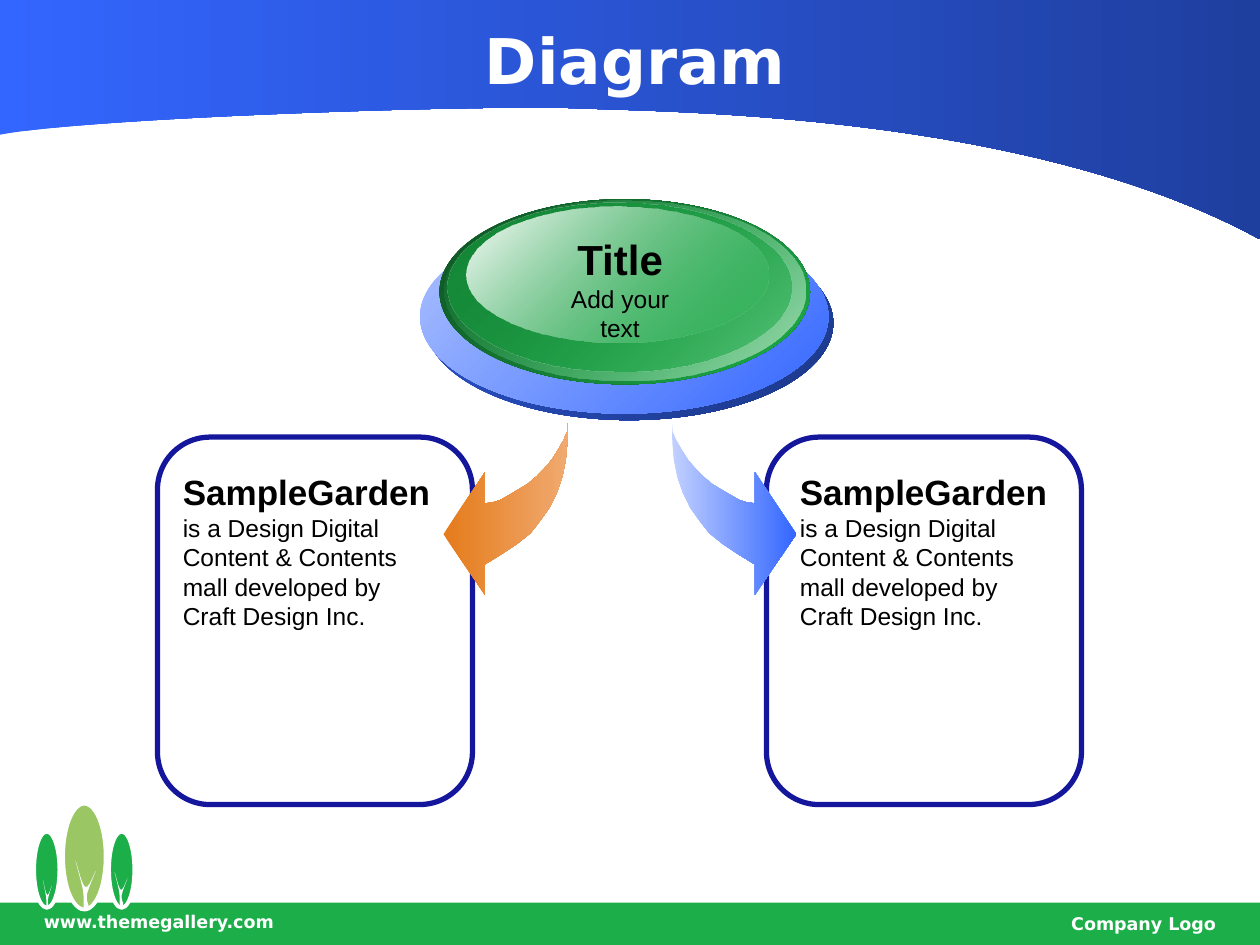
from lxml import etree
from pptx import Presentation
from pptx.dml.color import RGBColor
from pptx.enum import shapes, text
from pptx.oxml.ns import qn
from pptx.util import Pt

WHITE = RGBColor(0xFF, 0xFF, 0xFF)
BLACK = RGBColor(0x00, 0x00, 0x00)
BLUE = RGBColor(0x33, 0x66, 0xFF)
DEEP_BLUE = RGBColor(0x1F, 0x3F, 0x9F)
RIM_BLUE = RGBColor(0x2A, 0x54, 0xD1)
SHADE_BLUE = RGBColor(0x1C, 0x38, 0x88)
PALE_BLUE = RGBColor(0xAD, 0xC2, 0xFF)
ICE = RGBColor(0xC2, 0xD1, 0xFF)
NAVY = RGBColor(0x14, 0x17, 0x9C)
GREEN = RGBColor(0x1C, 0xAE, 0x49)
LEAF = RGBColor(0x9A, 0xC7, 0x63)
MID_GREEN = RGBColor(0x15, 0x87, 0x37)
DARK_GREEN = RGBColor(0x0D, 0x50, 0x22)
MINT = RGBColor(0xA4, 0xDB, 0xB6)
ORANGE = RGBColor(0xE5, 0x7B, 0x1B)
PEACH = RGBColor(0xF0, 0xAA, 0x70)


def paint(shape, stops, angle=0):
    shape.shadow.inherit = False
    shape.line.fill.background()
    if len(stops) == 1:
        shape.fill.solid()
        shape.fill.fore_color.rgb = stops[0][0]
        return
    shape.fill.gradient()
    gradient = shape._element.spPr.find(qn("a:gradFill"))
    stop_list = gradient.find(qn("a:gsLst"))
    for old_stop in list(stop_list):
        stop_list.remove(old_stop)
    for position, (color, opacity) in zip((0, 100), stops):
        stop = etree.SubElement(stop_list, qn("a:gs"), pos=str(position * 1000))
        tone = etree.SubElement(stop, qn("a:srgbClr"), val=str(color))
        if opacity < 100:
            etree.SubElement(tone, qn("a:alpha"), val=str(opacity * 1000))
    direction = gradient.find(qn("a:lin"))
    direction.set("ang", str(angle * 60000))
    direction.set("scaled", "0")


def add_text(left, top, width, height, paragraphs, font_name, color, alignment, anchor=text.MSO_ANCHOR.TOP):
    box = slide.shapes.add_textbox(Pt(left), Pt(top), Pt(width), Pt(height))
    frame = box.text_frame
    frame.word_wrap = True
    frame.vertical_anchor = anchor
    for index, runs in enumerate(paragraphs):
        paragraph = frame.add_paragraph() if index else frame.paragraphs[0]
        paragraph.alignment = alignment
        for words, size, bold in runs:
            run = paragraph.add_run()
            run.text = words
            run.font.name = font_name
            run.font.size = Pt(size)
            run.font.bold = bold
            run.font.color.rgb = color


presentation = Presentation()
presentation.slide_width = Pt(720)
presentation.slide_height = Pt(540)
slide = presentation.slides.add_slide(presentation.slide_layouts[6])

LEFT, CENTER, RIGHT = text.PP_ALIGN.LEFT, text.PP_ALIGN.CENTER, text.PP_ALIGN.RIGHT
OVAL = shapes.MSO_SHAPE.OVAL

footer = slide.shapes.add_shape(shapes.MSO_SHAPE.RECTANGLE, 0, Pt(515.8), Pt(720), Pt(24.2))
paint(footer, [(GREEN, 100)])

for left, top, width, height, color in [
    (19.5, 475.2, 14.5, 43.5, GREEN),
    (36, 459.2, 24.4, 60.5, LEAF),
    (62.3, 475.2, 14.5, 43.5, GREEN),
]:
    crown = slide.shapes.add_shape(OVAL, Pt(left), Pt(top), Pt(width), Pt(height))
    paint(crown, [(color, 100)])
    crown.line.color.rgb = WHITE
    crown.line.width = Pt(2.25)

header_curves = [
    (52.6, 67), (277.9, 59.8), (329, 61.9),
    (380.9, 64.1), (587.5, 64.1), (720, 136.8),
]
trunk_curves = [
    (0, 0.7), (3.6, 13), (4.3, 17.3),
    (5, 22.3), (4.3, 26.6), (5, 28),
    (5.8, 29.5), (7.2, 28.8), (7.9, 27.4),
    (7.9, 25.9), (5.8, 23), (6.5, 19.4),
    (7.2, 15.8), (11.5, 6.5), (11.5, 5.8),
    (11.5, 5), (7.9, 15.8), (5.8, 15.1),
    (3.6, 14.4), (1.4, 3.6), (0, 0),
]
header_stops = [(BLUE, 100), (DEEP_BLUE, 100)]
trunk_stops = [(WHITE, 100)]
for start, curves, tail, left, top, x_scale, y_scale, stops in [
    ((0, 77), header_curves, [(720, 0), (0, 0)], 0, 0, 1, 1, header_stops),
    ((0, 0), trunk_curves, [], 43.2, 491.8, 1, 1, trunk_stops),
    ((0, 0), trunk_curves, [], 65.5, 498.2, 0.63, 0.68, trunk_stops),
    ((0, 0), trunk_curves, [], 24.5, 502.6, 0.44, 0.59, trunk_stops),
]:
    placed = [(Pt(left + x * x_scale), Pt(top + y * y_scale)) for x, y in [start] + curves + tail]
    builder = slide.shapes.build_freeform(*placed[0])
    builder.add_line_segments(placed[1:], close=True)
    outline = builder.convert_to_shape()
    segments = list(outline._element.iter(qn("a:lnTo")))
    for first in range(0, len(curves), 3):
        curve = etree.Element(qn("a:cubicBezTo"))
        segments[first].addprevious(curve)
        for segment in segments[first:first + 3]:
            curve.append(segment[0])
            segment.getparent().remove(segment)
    paint(outline, stops)

add_text(18, 517, 210, 18, [[("www.themegallery.com", 10, True)]], "DejaVu Sans", WHITE, LEFT)
add_text(473.8, 518.3, 228, 16.6, [[("Company Logo", 10, True)]], "DejaVu Sans", WHITE, RIGHT)
add_text(36, 11.8, 653.8, 44.6, [[("Diagram", 36, True)]], "DejaVu Sans", WHITE, CENTER, text.MSO_ANCHOR.MIDDLE)

for left, top, width, height, stops in [
    (242.9, 129.2, 233.3, 110.9, [(RIM_BLUE, 100), (SHADE_BLUE, 100)]),
    (240.1, 125.5, 233.3, 110.9, [(PALE_BLUE, 100), (BLUE, 100)]),
    (251.2, 113.8, 211.7, 105.8, [(DARK_GREEN, 100), (GREEN, 100)]),
    (254.2, 114.5, 205.9, 103, [(GREEN, 0), (MINT, 100)]),
    (255.7, 115.6, 196.6, 96.5, [(MID_GREEN, 100), (GREEN, 48)]),
    (266.4, 117.8, 172.8, 77.8, [(WHITE, 100), (GREEN, 38)]),
]:
    disc = slide.shapes.add_shape(OVAL, Pt(left), Pt(top), Pt(width), Pt(height))
    paint(disc, stops, 45)
add_text(306.1, 130, 96.5, 52.6, [[("Title", 24, True)], [("Add your text", 14, False)]], "Arial", BLACK, CENTER)

AXIS = 354.24
arrow_points = [
    (29.6, 242), (30, 253.4), (31, 263.5), (33, 272.9), (36, 281.5), (40.3, 290.2), (45.4, 297.4),
    (51, 304.6), (59, 311), (67.7, 316.8), (77.2, 322.6), (77.2, 339.8), (100.8, 305.3), (77.2, 270),
    (77.2, 287.6), (73.4, 287.3), (68.4, 285.8), (63.4, 283), (58.3, 280), (52.6, 276.5), (47.5, 272.2),
    (43.2, 267.8), (38.9, 262.8), (35.3, 257), (32.4, 252), (30.2, 247), (29.8, 242),
]
body = [
    ("SampleGarden", 20, True),
    (" ", 18, False),
    ("is a Design Digital Content & Contents mall developed by Craft Design Inc.", 14, False),
]
for card_left, text_left, side, stops in [
    (90, 97.4, -1, [(ORANGE, 100), (PEACH, 100)]),
    (438, 450, 1, [(ICE, 100), (BLUE, 100)]),
]:
    card = slide.shapes.add_shape(shapes.MSO_SHAPE.ROUNDED_RECTANGLE, Pt(card_left), Pt(249.8), Pt(180), Pt(210))
    card.adjustments[0] = 0.167
    card.shadow.inherit = False
    card.fill.background()
    card.line.color.rgb = NAVY
    card.line.width = Pt(3)
    add_text(text_left, 265.5, 160.6, 98, [body], "Arial", BLACK, LEFT)
    placed = [(Pt(AXIS + side * x), Pt(y)) for x, y in arrow_points]
    builder = slide.shapes.build_freeform(*placed[0])
    builder.add_line_segments(placed[1:], close=True)
    paint(builder.convert_to_shape(), stops)

presentation.save("out.pptx")
